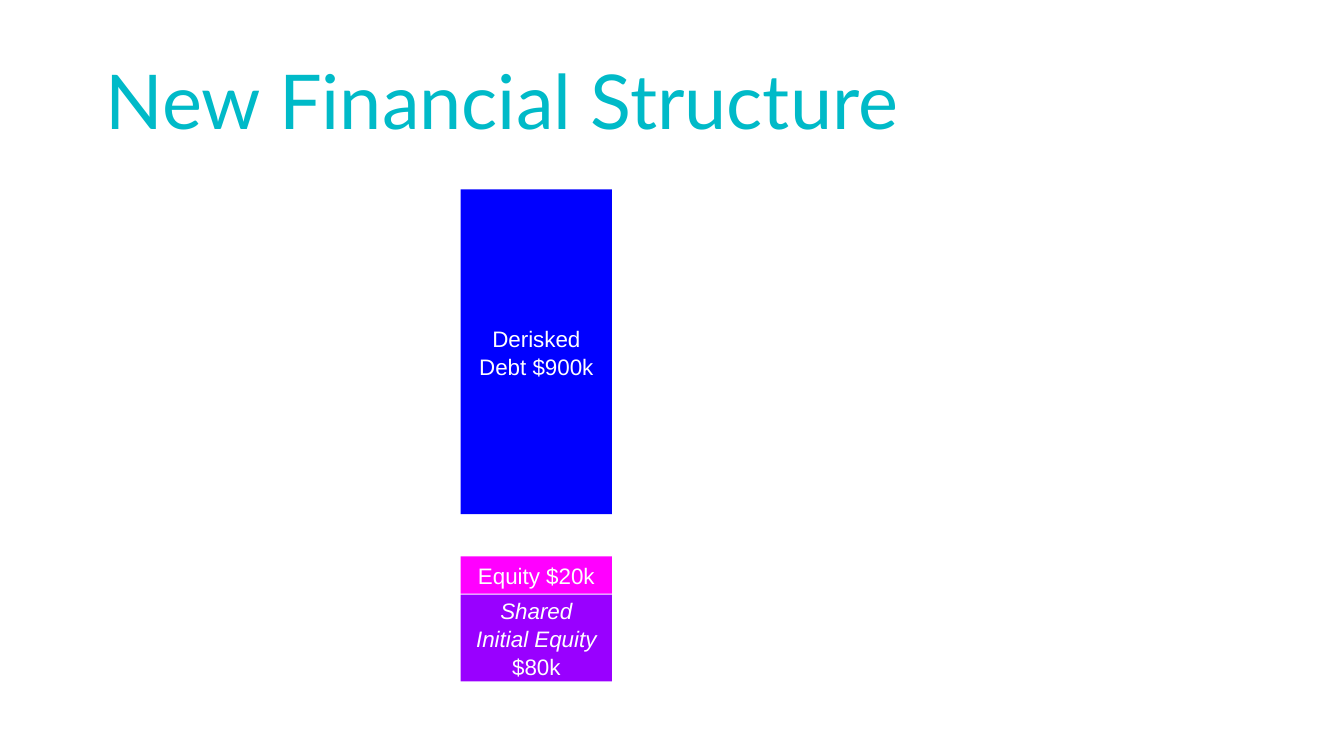
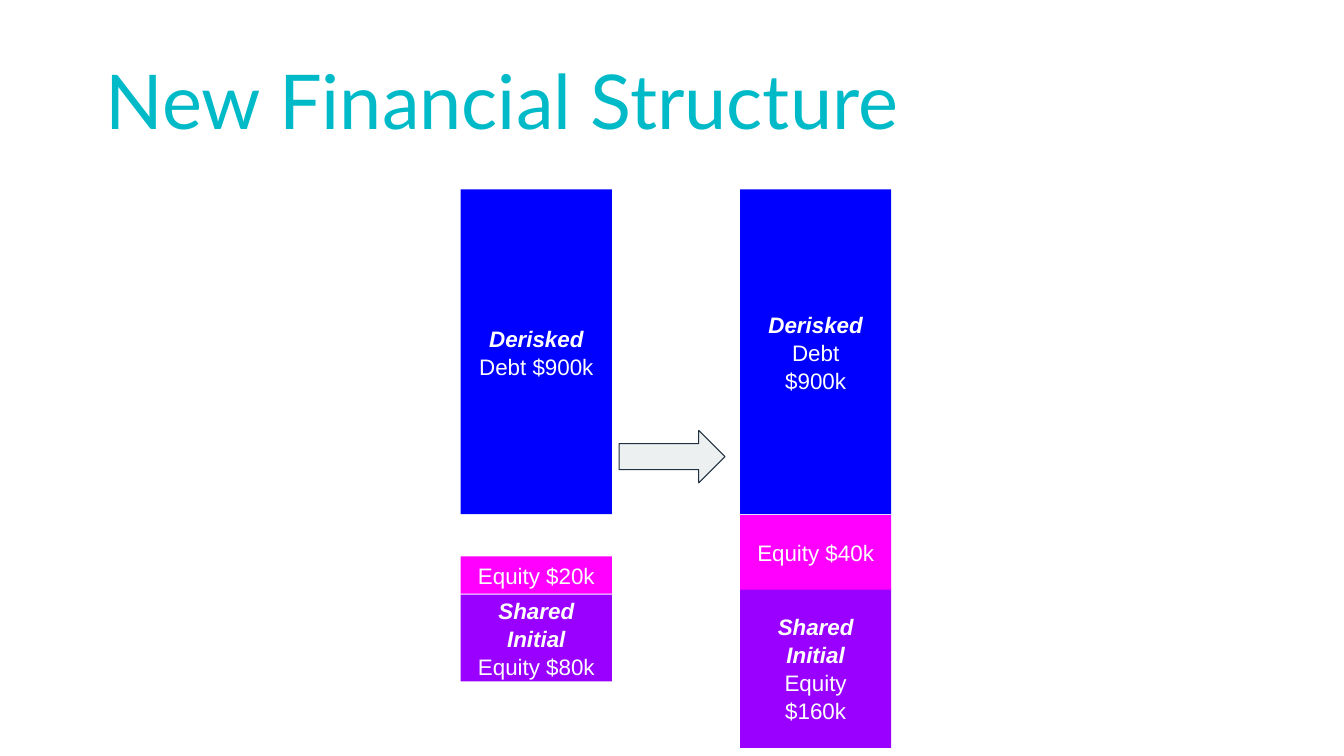
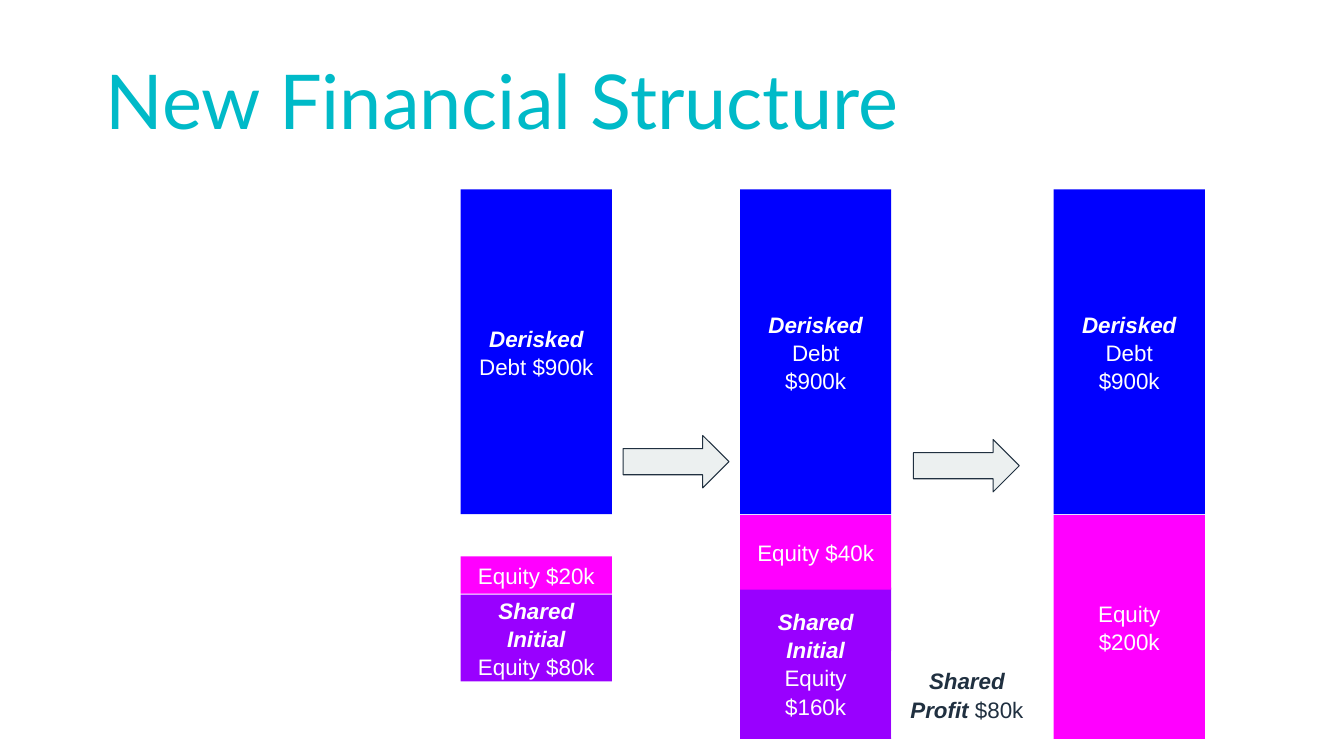
from pptx import Presentation
from pptx.dml.color import RGBColor
from pptx.enum.shapes import MSO_SHAPE as SHAPE
from pptx.enum.text import MSO_ANCHOR as ANCHOR, PP_ALIGN as ALIGN
from pptx.util import Pt

PX = 9144  # 100 px to the inch
SLIDE_W, SLIDE_H = 1333, 750

TEAL = RGBColor(0x00, 0xBA, 0xC8)
NAVY = RGBColor(0x20, 0x30, 0x40)
BLUE = RGBColor(0x00, 0x00, 0xFF)
PURPLE = RGBColor(0x99, 0x00, 0xFF)
MAGENTA = RGBColor(0xFF, 0x00, 0xFF)
PALE = RGBColor(0xEC, 0xF0, 0xF0)
WHITE = RGBColor(0xFF, 0xFF, 0xFF)

TITLE = "New Financial Structure"
TITLE_BOX = (92, 40, 1150, 145)
TITLE_FONT = {"name": "Lato", "size": Pt(54)}
LABEL_FONT = {"name": "Arial", "size": Pt(16)}
INSET = 13
BLOCK_W = 150
ARROW_W, ARROW_H = 105, 52

PLAIN = {}
ITALIC = {"italic": True}
STRONG = {"bold": True, "italic": True}

# A label is a list of paragraphs, each a list of (text, style) runs.
DEBT_FIRST = [[("Derisked Debt $900k", PLAIN)]]
DEBT = [[("Derisked ", STRONG), ("Debt $900k", PLAIN)]]
DEBT_SPLIT = [[("Derisked ", STRONG), ("Debt", PLAIN)], [("$900k", PLAIN)]]
SHARED_FIRST = [[("Shared", ITALIC)], [("Initial Equity ", ITALIC), ("$80k", PLAIN)]]
SHARED_80 = [[("Shared", STRONG)], [("Initial ", STRONG), ("Equity $80k", PLAIN)]]
SHARED_160 = [[("Shared", STRONG)], [("Initial ", STRONG), ("Equity $160k", PLAIN)]]
EQUITY_20 = [[("Equity $20k", PLAIN)]]
EQUITY_40 = [[("Equity $40k", PLAIN)]]
EQUITY_200 = [[("Equity", PLAIN)], [("$200k", PLAIN)]]
PROFIT = [[("Shared", STRONG)], [("Profit", STRONG), (" $80k", PLAIN)]]


def start_stack(debt, shared):
    return 457, [(188, 322, BLUE, debt), (590, 86, PURPLE, shared),
                 (552, 37, MAGENTA, EQUITY_20)]


def grown_stack(shared_h):
    return 734, [(188, 322, BLUE, DEBT_SPLIT), (583, shared_h, PURPLE, SHARED_160),
                 (511, 74, MAGENTA, EQUITY_40)]


FINAL_STACK = (1045, [(188, 322, BLUE, DEBT_SPLIT), (511, 222, MAGENTA, EQUITY_200)])
PROFIT_NOTE = (884, [(646, 86, WHITE, PROFIT)])

SLIDES = [
    {"stacks": [start_stack(DEBT_FIRST, SHARED_FIRST)], "arrows": []},
    {"stacks": [start_stack(DEBT, SHARED_80), grown_stack(159)],
     "arrows": [(614, 427)]},
    {"stacks": [start_stack(DEBT, SHARED_80), FINAL_STACK, grown_stack(150), PROFIT_NOTE],
     "arrows": [(618, 432), (906, 436)]},
]


def emu(*lengths):
    return [n * PX for n in lengths]


def write(tf, paragraphs, font, color, align, spacing=1.0):
    tf.word_wrap = True
    for side in ("left", "top", "right", "bottom"):
        setattr(tf, f"margin_{side}", INSET * PX)
    for i, runs in enumerate(paragraphs):
        p = tf.add_paragraph() if i else tf.paragraphs[0]
        p.alignment, p.line_spacing = align, spacing
        for text, style in runs:
            r = p.add_run()
            r.text = text
            r.font.color.rgb = color
            for key, value in {**font, **style}.items():
                setattr(r.font, key, value)


def add_filled(s, kind, box, fill):
    sp = s.shapes.add_shape(kind, *emu(*box))
    sp.shadow.inherit = False
    sp.fill.solid()
    sp.fill.fore_color.rgb = fill
    return sp


def add_title(s):
    tf = s.shapes.add_textbox(*emu(*TITLE_BOX)).text_frame
    tf.vertical_anchor = ANCHOR.TOP
    write(tf, [[(TITLE, PLAIN)]], TITLE_FONT, TEAL, ALIGN.LEFT)


def add_stack(s, x, blocks):
    for y, h, fill, label in blocks:
        sp = add_filled(s, SHAPE.RECTANGLE, (x, y, BLOCK_W, h), fill)
        sp.line.fill.background()
        sp.text_frame.vertical_anchor = ANCHOR.MIDDLE
        color = NAVY if fill == WHITE else WHITE
        write(sp.text_frame, label, LABEL_FONT, color, ALIGN.CENTER, 1.05)


def add_arrow(s, x, y):
    sp = add_filled(s, SHAPE.RIGHT_ARROW, (x, y, ARROW_W, ARROW_H), PALE)
    sp.line.color.rgb = NAVY
    sp.line.width = Pt(0.75)


def main():
    prs = Presentation()
    prs.slide_width, prs.slide_height = emu(SLIDE_W, SLIDE_H)
    for content in SLIDES:
        s = prs.slides.add_slide(prs.slide_layouts[6])
        add_title(s)
        for x, blocks in content["stacks"]:
            add_stack(s, x, blocks)
        for x, y in content["arrows"]:
            add_arrow(s, x, y)
    prs.save("out.pptx")


if __name__ == "__main__":
    main()
